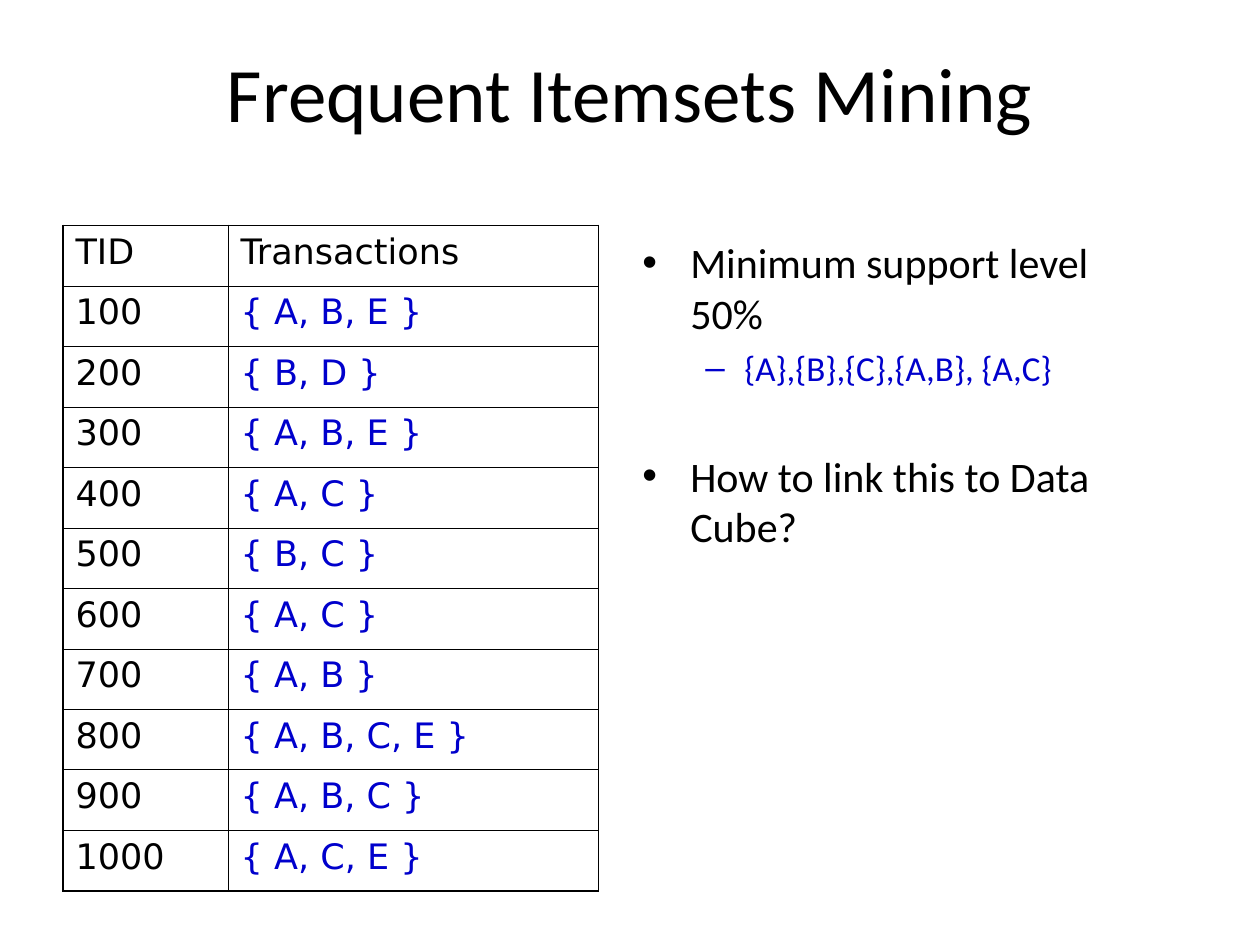
from lxml.etree import SubElement
from pptx import Presentation
from pptx.dml.color import RGBColor
from pptx.enum.text import MSO_ANCHOR as Anchor, PP_ALIGN as Align
from pptx.oxml.ns import qn
from pptx.util import Inches, Pt

BLACK = RGBColor(0x00, 0x00, 0x00)
BLUE = RGBColor(0x00, 0x00, 0xCC)
THIN, THICK = 0.45, 1.08


def set_font(paragraph, name, size, color):
    paragraph.font.name = name
    paragraph.font.size = Pt(size)
    paragraph.font.color.rgb = color


def add_border(cell, side, width):
    line = SubElement(cell._tc.get_or_add_tcPr(), qn(f"a:{side}"), w=str(Pt(width)))
    fill = SubElement(line, qn("a:solidFill"))
    SubElement(fill, qn("a:srgbClr"), val=str(BLACK))


presentation = Presentation()
presentation.slide_width = Inches(10)
presentation.slide_height = Inches(7.5)
slide = presentation.slides.add_slide(presentation.slide_layouts[6])

# Title
title = slide.shapes.add_textbox(Inches(0.5), Inches(0.3), Inches(9), Inches(0.86))
title.text_frame.word_wrap = True
title.text_frame.vertical_anchor = Anchor.MIDDLE
paragraph = title.text_frame.paragraphs[0]
paragraph.text = "Frequent Itemsets Mining"
paragraph.alignment = Align.CENTER
set_font(paragraph, "Calibri", 44, BLACK)

# Transaction table
itemsets = ["A, B, E", "B, D", "A, B, E", "A, C", "B, C",
            "A, C", "A, B", "A, B, C, E", "A, B, C", "A, C, E"]
rows = [("TID", "Transactions")]
rows += [(str(100 * number), f"{{ {items} }}") for number, items in enumerate(itemsets, 1)]
last_row = len(rows) - 1
row_height = Inches(0.48)

table = slide.shapes.add_table(len(rows), 2, Inches(0.5), Inches(1.79),
                               Inches(4.25), row_height * len(rows)).table
table.first_row = False
table.horz_banding = False
table.columns[0].width = Inches(1.31)
table.columns[1].width = Inches(2.94)

for row_index, row in enumerate(rows):
    table.rows[row_index].height = row_height
    for column_index, text in enumerate(row):
        cell = table.cell(row_index, column_index)
        cell.text = text
        is_itemset = row_index > 0 and column_index == 1
        set_font(cell.text_frame.paragraphs[0], "DejaVu Sans", 20,
                 BLUE if is_itemset else BLACK)
        # Outer edges are thicker; borders come before the fill in the XML
        outer_edges = {"lnL": column_index == 0, "lnR": column_index == 1,
                       "lnT": row_index == 0, "lnB": row_index == last_row}
        for side, is_outer in outer_edges.items():
            add_border(cell, side, THICK if is_outer else THIN)
        cell.fill.background()

# Bullets: text, level, bullet, left margin, hanging indent, size, space before, color
bullets = [
    ("Minimum support level 50%", 0, "•", 0.38, 0.38, 24, 0, BLACK),
    ("{A},{B},{C},{A,B}, {A,C}", 1, "–", 0.81, 0.31, 20, 5, BLUE),
    ("How to link this to Data Cube?", 0, "•", 0.38, 0.38, 24, 35.4, BLACK),
]
body = slide.shapes.add_textbox(Inches(5), Inches(1.83), Inches(4.22), Inches(5))
frame = body.text_frame
frame.word_wrap = True
for index, (text, level, bullet, margin, hanging, size, space, color) in enumerate(bullets):
    paragraph = frame.add_paragraph() if index else frame.paragraphs[0]
    paragraph.text = text
    paragraph.level = level
    paragraph.space_before = Pt(space)
    properties = paragraph._p.get_or_add_pPr()
    properties.set("marL", str(Inches(margin)))
    properties.set("indent", str(-Inches(hanging)))
    SubElement(properties, qn("a:buFont"), typeface="Arial")
    SubElement(properties, qn("a:buChar"), char=bullet)
    set_font(paragraph, "Calibri", size, color)

presentation.save("out.pptx")
